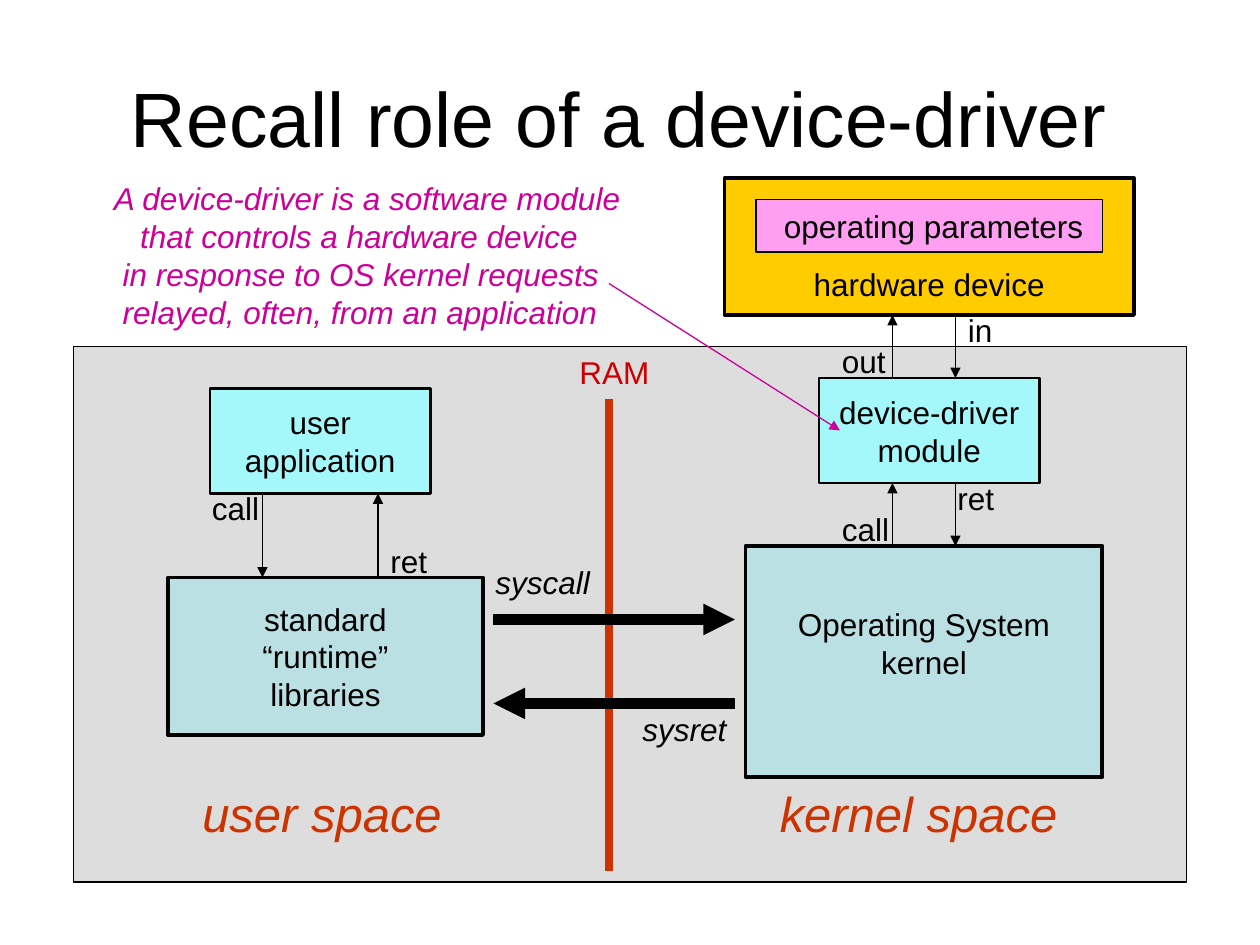
from lxml.etree import SubElement
from pptx import Presentation
from pptx.dml.color import RGBColor
from pptx.enum.shapes import MSO_CONNECTOR, MSO_SHAPE
from pptx.enum.text import MSO_ANCHOR, MSO_AUTO_SIZE, PP_ALIGN
from pptx.oxml.ns import qn
from pptx.util import Pt

BLACK, RUST, MAGENTA = "000000", "CC3300", "CC0099"
CYAN, TEAL = "A4F8FA", "BBE0E3"
INSET, LINE_HEIGHT = 3.6, 21.5

TITLE = "Recall role of a device-driver "

# text, (left, top, width, height), fill, border, lines kept free above, below
BOXES = [
    ("", (42, 198, 636, 306), "DDDDDD", 0.75, 0, 0),
    ("user\napplication", (120, 222, 126, 60), CYAN, 1.5, 0, 0),
    ("standard\n“runtime”\nlibraries", (96, 330, 180, 90), TEAL, 2.25, 0, 0),
    ("Operating System\nkernel", (426, 312, 204, 132), TEAL, 2.25, 0, 1),
    ("device-driver\nmodule", (468, 216, 126, 60), CYAN, 1.5, 0, 0),
    ("hardware device", (414, 102, 234, 78), "FFCC00", 2.25, 2, 0),
    (" operating parameters", (432, 114, 198, 30), "FF9FF1", 0.75, 0, 0),
]

# start, end, colour, width, has arrowhead
LINES = [
    ((348, 228), (348, 498), RUST, 4.5, False),       # user / kernel divide
    ((150, 282), (150, 330), BLACK, 0.75, True),      # library call
    ((216, 330), (216, 282), BLACK, 0.75, True),      # library ret
    ((282, 354), (420, 354), BLACK, 6, True),         # syscall
    ((420, 402), (282, 402), BLACK, 6, True),         # sysret
    ((510, 312), (510, 276), BLACK, 0.75, True),      # driver call
    ((546, 276), (546, 312), BLACK, 0.75, True),      # driver ret
    ((510, 216), (510, 180), BLACK, 0.75, True),      # out
    ((546, 180), (546, 216), BLACK, 0.75, True),      # in
    ((348, 162), (480, 246), MAGENTA, 0.75, True),    # definition pointer
]

# text, (left, top, width, height), size, colour, italic
LABELS = [
    ("call", (114, 276, 42, 29), 18, BLACK, False),
    ("ret", (216, 306, 36, 29), 18, BLACK, False),
    ("syscall", (276, 318, 69, 29), 18, BLACK, True),
    ("sysret", (360, 402, 63, 29), 18, BLACK, True),
    ("call", (474, 288, 42, 29), 18, BLACK, False),
    ("ret", (540, 270, 36, 29), 18, BLACK, False),
    ("out", (474, 192, 40, 29), 18, BLACK, False),
    ("in", (546, 174, 29, 29), 18, BLACK, False),
    ("RAM", (324, 198, 55, 29), 18, "CC0000", False),
    ("user space", (108.5, 444, 151, 41), 28, RUST, True),
    ("kernel space", (438.5, 444, 173, 41), 28, RUST, True),
]

# line, indent
DEFINITION = [
    ("A device-driver is a software module", 5),
    ("that controls a hardware device", 20),
    ("in response to OS kernel requests", 10),
    ("relayed, often, from an application", 10),
]

prs = Presentation()
prs.slide_width, prs.slide_height = Pt(720), Pt(540)
slide = prs.slides.add_slide(prs.slide_layouts[6])


def rgb(value):
    return RGBColor.from_string(value)


def points(values):
    return [Pt(v) for v in values]


def write(shape, text, size=18, color=BLACK, italic=False, align=PP_ALIGN.LEFT):
    frame = shape.text_frame
    frame.text = text
    frame.word_wrap = False
    for paragraph in frame.paragraphs:
        paragraph.alignment = align
        for run in paragraph.runs:
            run.font.name, run.font.size = "Arial", Pt(size)
            run.font.italic = italic
            run.font.color.rgb = rgb(color)
    return frame


def add_box(text, place, fill, border, free_above, free_below):
    box = slide.shapes.add_shape(MSO_SHAPE.RECTANGLE, *points(place))
    box.shadow.inherit = False
    box.fill.solid()
    box.fill.fore_color.rgb = rgb(fill)
    box.line.color.rgb = rgb(BLACK)
    box.line.width = Pt(border)
    if text:
        frame = write(box, text, align=PP_ALIGN.CENTER)
        frame.vertical_anchor = MSO_ANCHOR.MIDDLE
        frame.margin_top = Pt(INSET + free_above * LINE_HEIGHT)
        frame.margin_bottom = Pt(INSET + free_below * LINE_HEIGHT)


def add_line(start, end, color, width, arrow):
    line = slide.shapes.add_connector(MSO_CONNECTOR.STRAIGHT, *points(start + end))
    line.line.color.rgb = rgb(color)
    line.line.width = Pt(width)
    if arrow:
        SubElement(line.line._get_or_add_ln(), qn("a:tailEnd"), type="triangle")
    SubElement(line._element.spPr, qn("a:effectLst"))


def add_label(text, place, size, color, italic):
    label = slide.shapes.add_textbox(*points(place))
    frame = write(label, text, size, color, italic)
    frame.auto_size = MSO_AUTO_SIZE.SHAPE_TO_FIT_TEXT
    return frame


# Title
title = slide.shapes.add_textbox(*points((36, 21.6, 648, 90)))
title_frame = write(title, TITLE, 44, align=PP_ALIGN.CENTER)
title_frame.word_wrap = True
title_frame.vertical_anchor = MSO_ANCHOR.MIDDLE

# Diagram
for box in BOXES:
    add_box(*box)
for line in LINES:
    add_line(*line)
for label in LABELS:
    add_label(*label)

# Definition, each line with its own indent
definition = add_label("\n".join(text for text, _ in DEFINITION),
                       (53, 99, 309.5, 93.5), 18, MAGENTA, True)
for paragraph, (_, indent) in zip(definition.paragraphs, DEFINITION):
    paragraph._p.get_or_add_pPr().set("marL", str(Pt(indent)))

prs.save("out.pptx")
